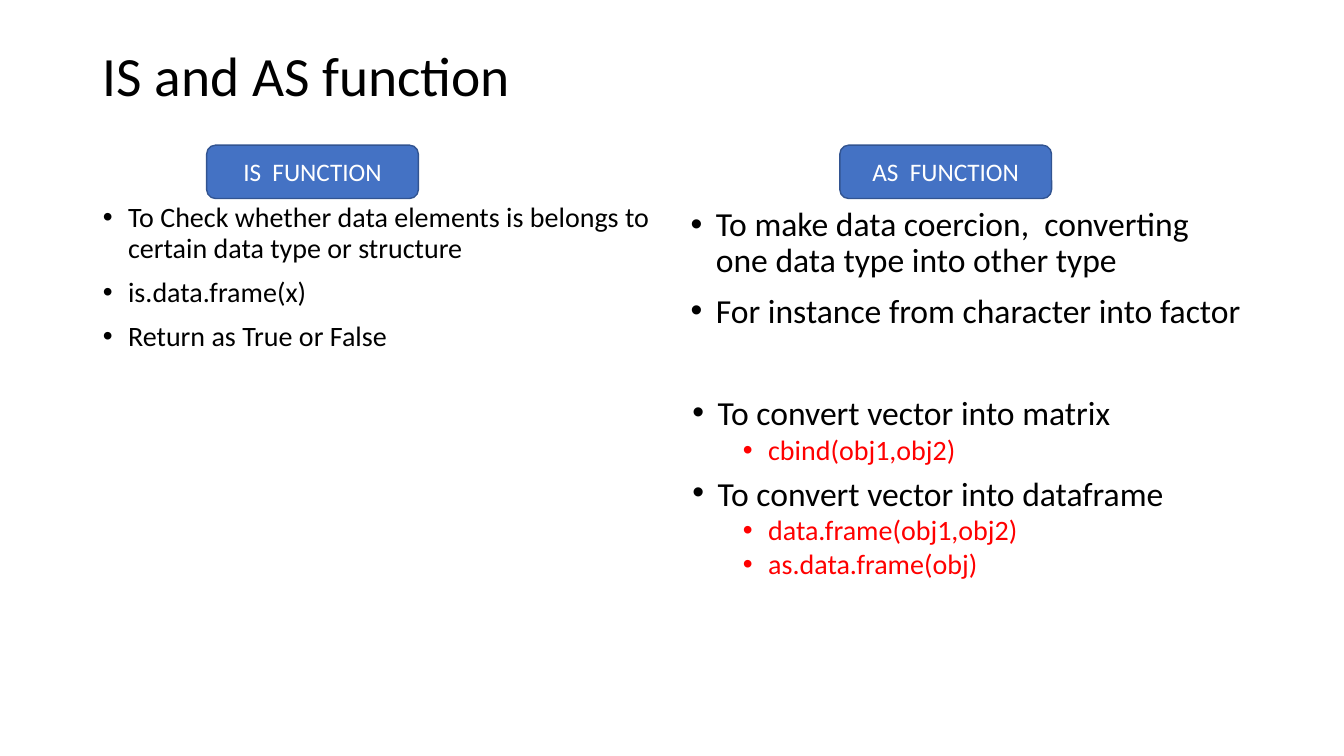
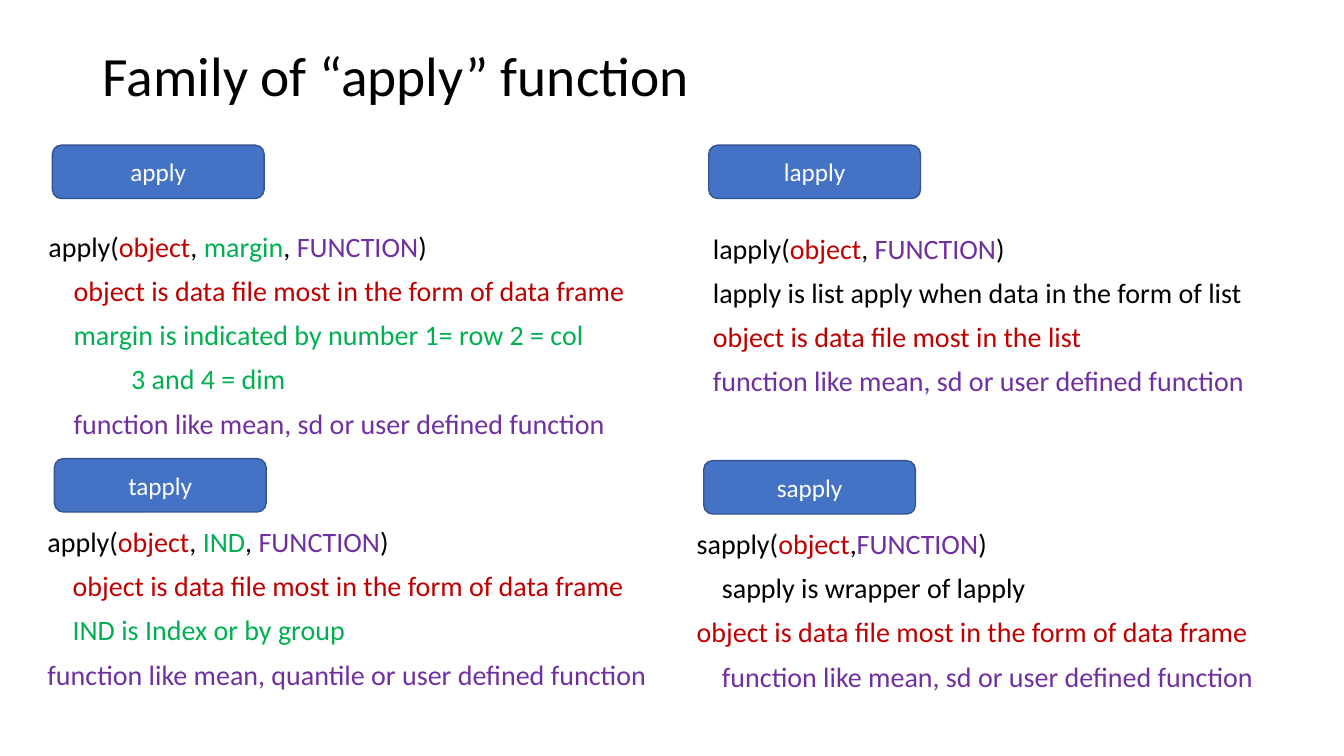
from lxml import etree
from pptx import Presentation
from pptx.dml.color import RGBColor
from pptx.enum.shapes import MSO_SHAPE
from pptx.enum.text import MSO_ANCHOR, MSO_AUTO_SIZE, PP_ALIGN
from pptx.oxml.ns import qn
from pptx.util import Inches, Pt

ROUND = MSO_SHAPE.ROUNDED_RECTANGLE
TOP, MIDDLE = MSO_ANCHOR.TOP, MSO_ANCHOR.MIDDLE
FIXED = MSO_AUTO_SIZE.NONE
LEFT, CENTER = PP_ALIGN.LEFT, PP_ALIGN.CENTER

FONT = "Calibri"
BLACK = RGBColor(0x00, 0x00, 0x00)
WHITE = RGBColor(0xFF, 0xFF, 0xFF)
BLUE = RGBColor(0x44, 0x72, 0xC4)
EDGE = RGBColor(0x32, 0x54, 0x91)
RED = RGBColor(0xFF, 0x00, 0x00)
BRICK = RGBColor(0xC0, 0x00, 0x00)
GREEN = RGBColor(0x00, 0xB0, 0x50)
PURPLE = RGBColor(0x70, 0x30, 0xA0)

OBJECT = ("object", BRICK)
FUNC = ("FUNCTION", PURPLE)
FRAME = "object is data file most in the form of data frame"
USER = "function like mean, sd or user defined function"
STEP = 0.25


def write(frame, text, size=20, color=BLACK, align=LEFT, line=0.9, before=10,
          indent=0, bullet=False, level=0):
    """Add a paragraph of plain text or of (text, colour) runs."""
    para = frame.paragraphs[0]
    if para.runs:
        para = frame.add_paragraph()
    para.alignment, para.level = align, level
    para.line_spacing, para.space_before = line, Pt(before)
    props = para._p.get_or_add_pPr()
    props.set("marL", str(Inches(indent)))
    props.set("indent", str(Inches(-STEP if bullet else 0)))
    if bullet:
        etree.SubElement(props, qn("a:buFont")).set("typeface", "Arial")
        etree.SubElement(props, qn("a:buChar")).set("char", "•")
    else:
        etree.SubElement(props, qn("a:buNone"))
    for part, tint in [(text, color)] if isinstance(text, str) else text:
        run = para.add_run()
        run.text = part
        font = run.font
        font.name, font.size, font.bold = FONT, Pt(size), False
        font.color.rgb = tint


def place(shape, box, anchor=TOP):
    """Move a text shape to its box and return its frame."""
    shape.left, shape.top, shape.width, shape.height = map(Inches, box)
    frame = shape.text_frame
    frame.word_wrap, frame.auto_size = True, FIXED
    frame.vertical_anchor = anchor
    return frame


def start(deck, layout, title):
    """Add a slide with the shared title style."""
    slide = deck.slides.add_slide(deck.slide_layouts[layout])
    frame = place(slide.shapes.title, (0.92, 0.4, 11.5, 0.75), MIDDLE)
    write(frame, title, size=39.6, before=0)
    return slide


def pill(slide, text, x, y):
    """Draw a rounded heading."""
    shape = slide.shapes.add_shape(ROUND, 0, 0, 0, 0)
    shape.shadow.inherit = False
    shape.fill.solid()
    shape.fill.fore_color.rgb = BLUE
    shape.line.color.rgb = EDGE
    shape.line.width = Pt(1)
    frame = place(shape, (x, y, 2.1, 0.53), MIDDLE)
    write(frame, text, size=18, color=WHITE, align=CENTER, line=1, before=0)


def points(shape, box, items, size):
    """Fill a box with first-level bullets."""
    frame = place(shape, box)
    for item in items:
        write(frame, item, size=size, indent=STEP, bullet=True)


def groups(slide, box, items):
    """Add a text box of headings with their calls below."""
    frame = place(slide.shapes.add_textbox(0, 0, 0, 0), box)
    for head, calls in items:
        write(frame, head, size=24, line=0.8, indent=STEP, bullet=True)
        for call in calls:
            write(frame, call, color=RED, line=0.8, before=5,
                  indent=3 * STEP, bullet=True, level=1)


def panel(slide, body, name, x, y, shift, drop, lines):
    """Place a heading and the lines explaining its function."""
    pill(slide, name, x, y)
    frame = place(body, (x - shift, y + drop, 6.2, 2.22))
    for text, color, indent in lines:
        write(frame, text, color=color, indent=indent)


def sign(name, *args, gap=", "):
    """Return the coloured runs of a function call."""
    runs = [(name + "(", BLACK)]
    for arg in args:
        runs += [arg, (gap, BLACK)]
    return runs[:-1] + [(")", BLACK)], BLACK, 0


def compare(deck):
    """Build the slide on is and as functions."""
    slide = start(deck, 3, "IS and AS function")
    left, right = list(slide.placeholders)[1:]
    points(left, (0.92, 1.97, 5.67, 2.63), [
        "To Check whether data elements is belongs to certain data type or structure",
        "is.data.frame(x)",
        "Return as True or False"], 20)
    points(right, (6.75, 2.01, 5.67, 1.85), [
        "To make data coercion,  converting one data type into other type",
        "For instance from character into factor"], 24)
    pill(slide, "IS  FUNCTION", 2.05, 1.44)
    pill(slide, "AS  FUNCTION", 8.33, 1.44)
    groups(slide, (6.77, 3.92, 5.84, 2.04), [
        ("To convert vector into matrix", ["cbind(obj1,obj2)"]),
        ("To convert vector into dataframe",
         ["data.frame(obj1,obj2)", "as.data.frame(obj)"])])


def family(deck):
    """Build the slide on the four apply functions."""
    slide = start(deck, 4, "Family of “apply” function")
    panels = [
        ("apply", 0.52, 1.44, 0.14, 0.82, [
            sign("apply", OBJECT, ("margin", GREEN), FUNC),
            (FRAME, BRICK, STEP),
            ("margin is indicated by number 1= row 2 = col", GREEN, STEP),
            ("3 and 4 = dim", GREEN, 0.82),
            (USER, PURPLE, STEP)]),
        ("lapply", 7.03, 1.44, 0.06, 0.84, [
            sign("lapply", OBJECT, FUNC),
            ("lapply is list apply when data in the form of list", BLACK, 0),
            ("object is data file most in the list", BRICK, 0),
            (USER, PURPLE, 0)]),
        ("tapply", 0.54, 4.55, 0.17, 0.64, [
            sign("apply", OBJECT, ("IND", GREEN), FUNC),
            (FRAME, BRICK, STEP),
            ("IND is Index or by group", GREEN, STEP),
            ("function like mean, quantile or user defined function", PURPLE, 0)]),
        ("sapply", 6.98, 4.57, 0.17, 0.64, [
            sign("sapply", OBJECT, FUNC, gap=","),
            ("sapply is wrapper of lapply", BLACK, STEP),
            (FRAME, BRICK, 0),
            (USER, PURPLE, STEP)])]
    for body, args in zip(list(slide.placeholders)[1:], panels):
        panel(slide, body, *args)


def main():
    """Build and save the slides."""
    deck = Presentation()
    deck.slide_width, deck.slide_height = Inches(13.33), Inches(7.5)
    compare(deck)
    family(deck)
    deck.save("out.pptx")


if __name__ == "__main__":
    main()
